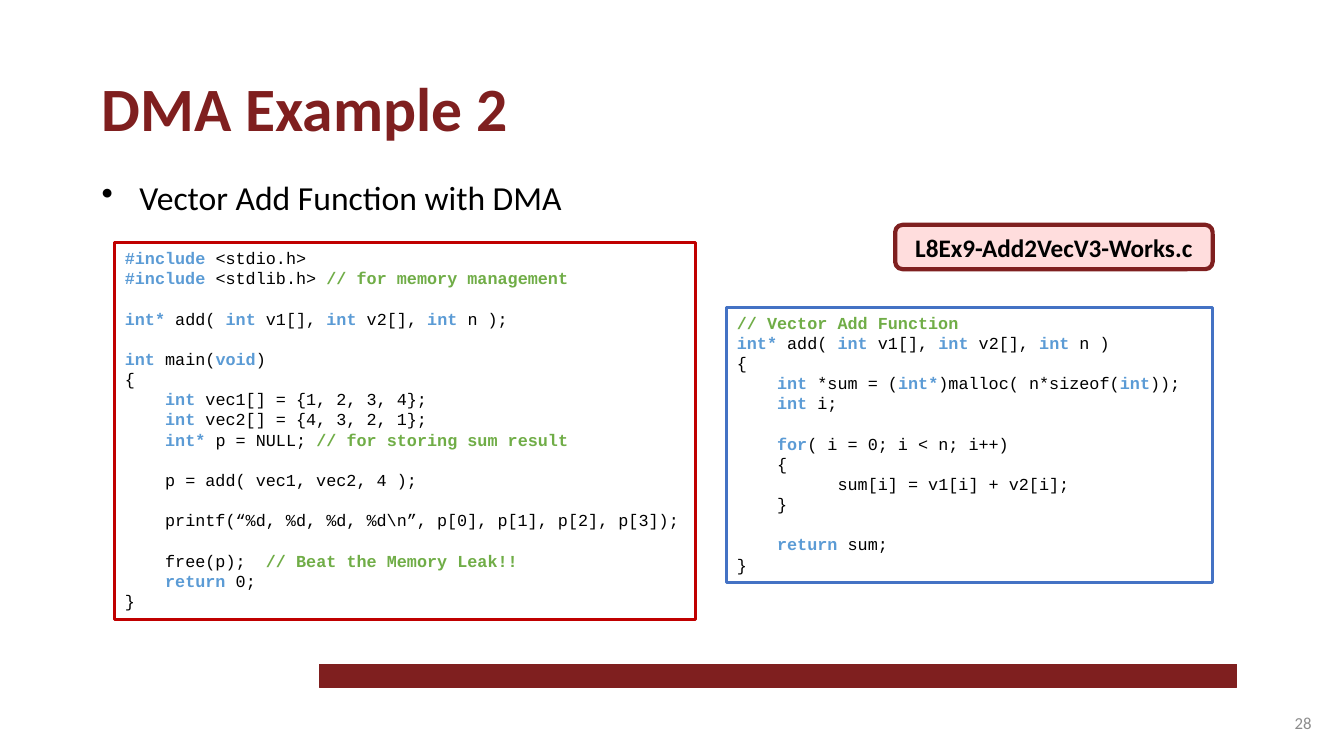
import pptx
import pptx.util
import pptx.dml.color
import pptx.enum.shapes
import pptx.enum.text
import pptx.oxml.ns
from lxml import etree

Pt = pptx.util.Pt
SHAPE = pptx.enum.shapes.MSO_SHAPE
ALIGN = pptx.enum.text.PP_ALIGN
ANCHOR = pptx.enum.text.MSO_ANCHOR

# Content
TITLE = "DMA Example 2"
TOPIC = "Vector Add Function with DMA"
FILE_NAME = "L8Ex9-Add2VecV3-Works.c"
PAGE = "28"

# Code lines: (indent in columns, empty lines above, text with `marked` words)
MAIN_CODE = [
    (0, 0, "`#include` <stdio.h>"),
    (0, 0, "`#include` <stdlib.h> `// for memory management`"),
    (0, 1, "`int*` add( `int` v1[], `int` v2[], `int` n );"),
    (0, 1, "`int` main(`void`)"),
    (0, 0, "{"),
    (4, 0, "`int` vec1[] = {1, 2, 3, 4};"),
    (4, 0, "`int` vec2[] = {4, 3, 2, 1};"),
    (4, 0, "`int*` p = NULL; `// for storing sum result`"),
    (4, 1, "p = add( vec1, vec2, 4 );"),
    (4, 1, "printf(“%d, %d, %d, %d\\n”, p[0], p[1], p[2], p[3]);"),
    (4, 1, "free(p);  `// Beat the Memory Leak!!`"),
    (4, 0, "`return` 0;"),
    (0, 0, "}"),
]
ADD_CODE = [
    (0, 0, "`// Vector Add Function`"),
    (0, 0, "`int*` add( `int` v1[], `int` v2[], `int` n )"),
    (0, 0, "{"),
    (4, 0, "`int` *sum = (`int*`)malloc( n*sizeof(`int`));"),
    (4, 0, "`int` i;"),
    (4, 1, "`for`( i = 0; i < n; i++)"),
    (4, 0, "{"),
    (10, 0, "sum[i] = v1[i] + v2[i];"),
    (4, 0, "}"),
    (4, 1, "`return` sum;"),
    (0, 0, "}"),
]

THEME = {
    "font": "Calibri", "code_font": "Courier New",
    "maroon": "7F1F1F", "pink": "FFDDDD", "red": "C00000", "blue": "4472C4",
    "text": "000000", "grey": "8C8C8C", "paper": "FFFFFF",
    "keyword": "5B9BD5", "comment": "70AD47",
    "title_size": 44, "topic_size": 24, "label_size": 18, "small_size": 12,
}
CODE_COLUMN = 0.6 * THEME["small_size"]
CODE_LINE = 1.2 * THEME["small_size"]

# Layout: left, top, width, height in points
LEFT = 65.5
RIGHT = 866.2
TITLE_AT = (LEFT, 46.1, 784.8, 60.5)
TOPIC_AT = (LEFT, 123.1, RIGHT - LEFT, 79.9)
FOOTER_AT = (228.2, 474.5, 655.2, 16.6)
PAGE_AT = (727.9, 501.8, 216, 28.8)
MAIN_AT = (82.1, 173.5, 414.7, 269.3)
FILE_AT = (RIGHT - 226.8, 160.6, 226.8, 31.7)
ADD_AT = (RIGHT - 347, 219.6, 347, 196.6)

deck = pptx.Presentation()
deck.slide_width, deck.slide_height = Pt(960), Pt(540)
slide = deck.slides.add_slide(deck.slide_layouts[6])


def color(name):
    return pptx.dml.color.RGBColor.from_string(THEME[name])


def text_box(at):
    return slide.shapes.add_textbox(*map(Pt, at))


def panel(kind, at, fill, line, weight):
    shape = slide.shapes.add_shape(kind, *map(Pt, at))
    shape.shadow.inherit = False
    shape.fill.solid()
    shape.fill.fore_color.rgb = color(fill)
    shape.line.color.rgb = color(line)
    shape.line.width = Pt(weight)
    return shape


def code_runs(marked):
    """Split a code line into (text, colour, bold) runs."""
    for i, part in enumerate(marked.split("`")):
        if part and i % 2:
            yield part, "comment" if part.startswith("//") else "keyword", True
        elif part:
            yield part, "text", False


def write(shape, lines, size, font="font", align=ALIGN.LEFT, anchor=ANCHOR.TOP, bullet=None):
    """Each line is (left margin, space above, runs)."""
    frame = shape.text_frame
    frame.word_wrap = True
    frame.vertical_anchor = anchor
    for i, (margin, above, runs) in enumerate(lines):
        paragraph = frame.add_paragraph() if i else frame.paragraphs[0]
        paragraph.alignment = align
        paragraph.space_before = Pt(above)
        props = paragraph._p.get_or_add_pPr()
        props.set("marL", str(int(Pt(margin))))
        if bullet:
            props.set("indent", str(-int(Pt(margin))))
            mark = etree.SubElement(props, pptx.oxml.ns.qn("a:buChar"))
            mark.set("char", bullet)
        for text, tone, bold in runs:
            run = paragraph.add_run()
            run.text = text
            run.font.name = THEME[font]
            run.font.size = Pt(THEME[size])
            run.font.bold = bold
            run.font.color.rgb = color(tone)


# Topic, footer bar, title and page number
write(text_box(TOPIC_AT), [(27, 0, [(TOPIC, "text", False)])], "topic_size", bullet="•")
panel(SHAPE.RECTANGLE, FOOTER_AT, "maroon", "maroon", 1)
write(text_box(TITLE_AT), [(0, 0, [(TITLE, "maroon", True)])], "title_size")
write(text_box(PAGE_AT), [(0, 0, [(PAGE, "grey", False)])], "small_size",
      align=ALIGN.RIGHT, anchor=ANCHOR.MIDDLE)

# Code panels
for at, border, code in ((MAIN_AT, "red", MAIN_CODE), (ADD_AT, "blue", ADD_CODE)):
    listing = [(columns * CODE_COLUMN, gaps * CODE_LINE, code_runs(marked))
               for columns, gaps, marked in code]
    write(panel(SHAPE.RECTANGLE, at, "paper", border, 2.25), listing,
          "small_size", font="code_font")

# File name label
write(panel(SHAPE.ROUNDED_RECTANGLE, FILE_AT, "pink", "maroon", 3),
      [(0, 0, [(FILE_NAME, "text", True)])], "label_size",
      align=ALIGN.CENTER, anchor=ANCHOR.MIDDLE)

deck.save("out.pptx")
